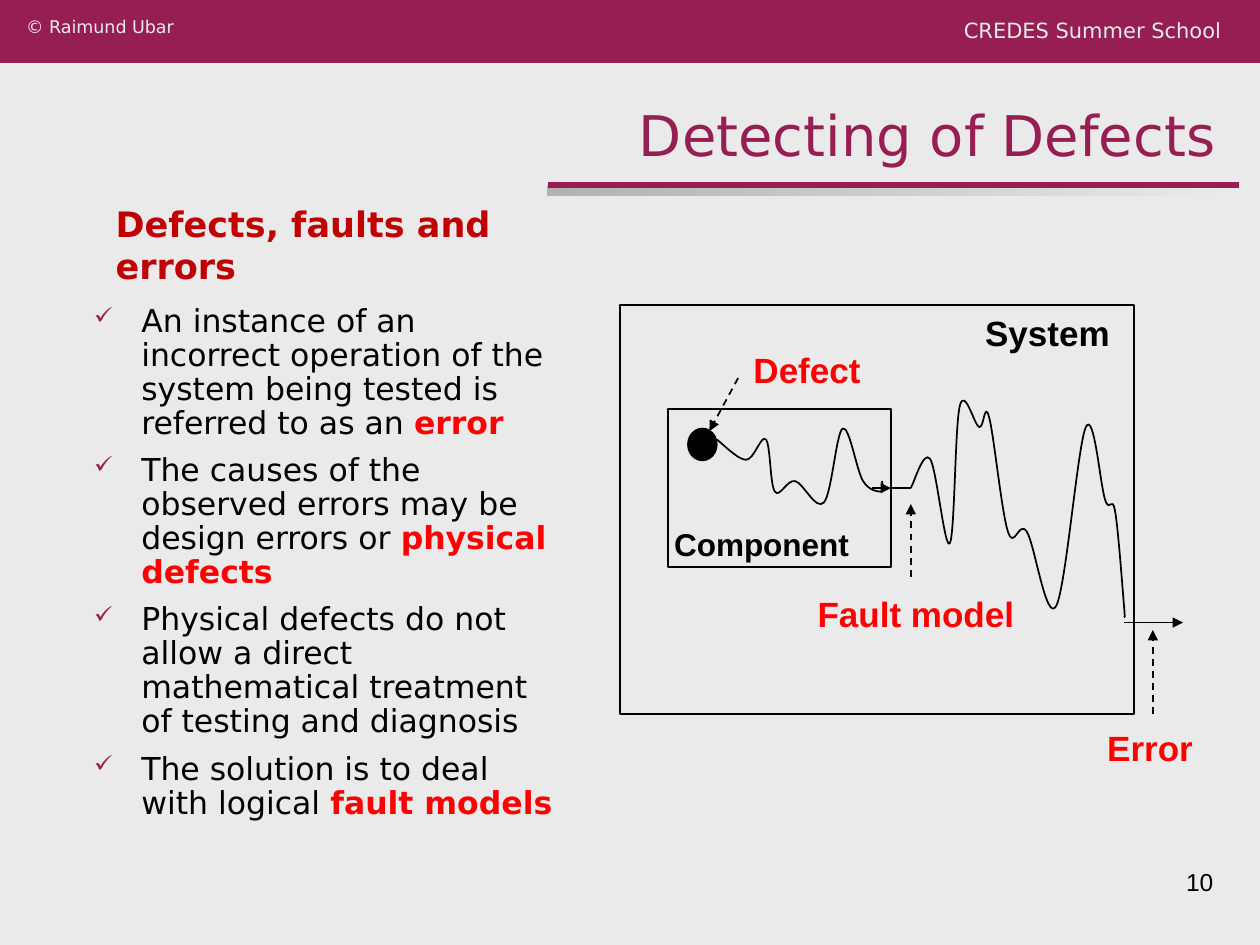
import pptx
import pptx.dml.color
import pptx.enum.dml
import pptx.enum.shapes
import pptx.enum.text
import pptx.oxml
import pptx.oxml.ns
import pptx.util

Cm, Pt = pptx.util.Cm, pptx.util.Pt
RGB = pptx.dml.color.RGBColor
SHAPE = pptx.enum.shapes.MSO_SHAPE
ALIGN = pptx.enum.text.PP_ALIGN
ANCHOR = pptx.enum.text.MSO_ANCHOR
qn = pptx.oxml.ns.qn

PLUM = RGB(0x97, 0x1E, 0x53)
PAPER = RGB(0xEA, 0xEA, 0xEA)
GREY = RGB(0xB2, 0xB2, 0xB2)
BLACK = RGB(0, 0, 0)
RED = RGB(0xFF, 0, 0)
DARK_RED = RGB(0xC0, 0, 0)
SANS, ARIAL = "DejaVu Sans", "Arial"

BULLETS = [
    ("An instance of an incorrect operation of the system being tested is referred to as an ", "error"),
    ("The causes of the observed errors may be design errors or ", "physical defects"),
    ("Physical defects do not allow a direct mathematical treatment of testing and diagnosis", ""),
    ("The solution is to deal with logical ", "fault models"),
]
COMPONENT_WAVE = [
    (14.45, 8.86), (15.04, 9.27), (15.44, 8.86), (15.62, 9.91), (16.03, 9.7),
    (16.61, 10.13), (16.99, 8.64), (17.4, 9.7), (17.78, 9.91), (17.78, 9.7),
]
SYSTEM_WAVE = [
    (18.36, 9.84), (18.75, 9.25), (19.15, 10.95), (19.35, 8.18), (19.74, 8.61),
    (19.94, 8.41), (20.32, 10.72), (20.7, 10.72), (21.29, 12.22), (21.89, 8.61),
    (22.28, 10.08), (22.48, 10.31), (22.66, 12.22), (22.66, 12.42),
]


class Deck:
    def __init__(self, slide):
        self.s = slide
        self.s.background.fill.solid()
        self.s.background.fill.fore_color.rgb = PAPER

    def style(self, r, size, color, font=SANS, bold=False):
        r.font.size, r.font.name, r.font.bold = Pt(size), font, bold
        r.font.color.rgb = color

    def shape(self, kind, x, y, w, h, fill=None, line=None):
        sp = self.s.shapes.add_shape(kind, Cm(x), Cm(y), Cm(w), Cm(h))
        sp.shadow.inherit = False
        if fill is None:
            sp.fill.background()
        else:
            sp.fill.solid()
            sp.fill.fore_color.rgb = fill
        if line is None:
            sp.line.fill.background()
        else:
            sp.line.color.rgb, sp.line.width = line, Pt(1)
        return sp

    def fade(self, x, y, w, h, colors):
        sp = self.shape(SHAPE.RECTANGLE, x, y, w, h)
        sp.fill.gradient()
        sp.fill.gradient_angle = 0
        for stop, color in zip(sp.fill.gradient_stops, colors):
            stop.color.rgb = color

    def line(self, x1, y1, x2, y2, color=BLACK, width=1, arrow=True, dashed=False):
        cx = self.s.shapes.add_connector(
            pptx.enum.shapes.MSO_CONNECTOR.STRAIGHT, Cm(x1), Cm(y1), Cm(x2), Cm(y2))
        cx.line.color.rgb, cx.line.width = color, Pt(width)
        if dashed:
            cx.line.dash_style = pptx.enum.dml.MSO_LINE.DASH
        if arrow:
            ln = cx.line._get_or_add_ln()
            pptx.oxml.ns.qn("a:tailEnd")
            tail = ln.makeelement(qn("a:tailEnd"), {"type": "triangle"})
            ln.append(tail)
        sp_pr = cx._element.spPr
        sp_pr.append(sp_pr.makeelement(qn("a:effectLst"), {}))
        return cx

    def curve(self, knots):
        points = [(Cm(x), Cm(y)) for x, y in knots]
        builder = self.s.shapes.build_freeform(*points[0])
        builder.add_line_segments(points[1:], close=False)
        sp = builder.convert_to_shape()
        sp.shadow.inherit = False
        sp.fill.background()
        sp.line.color.rgb, sp.line.width = BLACK, Pt(1)
        local = [(x - sp.left, y - sp.top) for x, y in points]
        ends = [local[0]] + local + [local[-1]]
        for i, segment in enumerate(list(sp._element.iter(qn("a:lnTo")))):
            before, start, end, after = ends[i:i + 4]
            c1 = [b + (e - a) / 6 for a, b, e in zip(before, start, end)]
            c2 = [e - (a - b) / 6 for b, e, a in zip(start, end, after)]
            bezier = segment.makeelement(qn("a:cubicBezTo"), {})
            for x, y in (c1, c2, end):
                bezier.append(bezier.makeelement(
                    qn("a:pt"), {"x": str(round(x)), "y": str(round(y))}))
            segment.getparent().replace(segment, bezier)

    def text(self, text, x, y, w, h, size, color, font=ARIAL, bold=False, align=ALIGN.LEFT):
        tf = self.s.shapes.add_textbox(Cm(x), Cm(y), Cm(w), Cm(h)).text_frame
        tf.word_wrap = True
        tf.text = text
        p = tf.paragraphs[0]
        p.alignment = align
        self.style(p.runs[0], size, color, font, bold)

    def title(self, text, x, y, w, h):
        sp = self.s.shapes.title
        sp.left, sp.top, sp.width, sp.height = Cm(x), Cm(y), Cm(w), Cm(h)
        tf = sp.text_frame
        tf.text = text
        tf.vertical_anchor = ANCHOR.BOTTOM
        tf.paragraphs[0].alignment = ALIGN.RIGHT
        self.style(tf.paragraphs[0].runs[0], 32, PLUM)

    def bullets(self, items, x, y, w, h):
        tf = self.s.shapes.add_textbox(Cm(x), Cm(y), Cm(w), Cm(h)).text_frame
        tf.word_wrap = True
        tf.margin_left = tf.margin_top = tf.margin_right = tf.margin_bottom = 0
        for i, (plain, strong) in enumerate(items):
            p = tf.add_paragraph() if i else tf.paragraphs[0]
            p.text = plain
            p.line_spacing, p.space_after = 0.9, Pt(3)
            p.space_before = Pt(4.5 if i else 0)
            p_pr = p._p.get_or_add_pPr()
            p_pr.set("marL", str(Cm(0.95)))
            p_pr.set("indent", str(-Cm(0.95)))
            color = p_pr.makeelement(qn("a:buClr"), {})
            color.append(color.makeelement(qn("a:srgbClr"), {"val": str(PLUM)}))
            p_pr.append(color)
            p_pr.append(p_pr.makeelement(qn("a:buSzPct"), {"val": "75000"}))
            p_pr.append(p_pr.makeelement(qn("a:buChar"), {"char": "✓"}))
            self.style(p.runs[0], 18, BLACK)
            if strong:
                r = p.add_run()
                r.text = strong
                self.style(r, 18, RED, bold=True)


def main():
    prs = pptx.Presentation()
    prs.slide_width, prs.slide_height = Cm(25.4), Cm(19.05)
    d = Deck(prs.slides.add_slide(prs.slide_layouts[5]))

    d.shape(SHAPE.RECTANGLE, 0, 0, 25.4, 1.27, PLUM)
    d.fade(11.02, 3.73, 14, 0.23, (GREY, PAPER))
    d.line(11.05, 3.73, 24.97, 3.73, PLUM, 3, arrow=False)
    d.text("CREDES Summer School", 18.82, 0.23, 6.05, 0.81, 12, PAPER, SANS, align=ALIGN.RIGHT)
    d.text("© Raimund Ubar", 0.28, 0.2, 6.05, 0.81, 10, PAPER, SANS)
    d.title("Detecting of Defects", 0, 1.9, 24.77, 1.6)
    d.text("Defects, faults and errors", 2.08, 3.96, 9.17, 2.79, 20, DARK_RED, SANS, True)
    d.bullets(BULLETS, 1.9, 6.15, 9.42, 11.13)

    component = d.shape(SHAPE.RECTANGLE, 13.46, 8.25, 4.5, 3.18, PAPER, BLACK)
    d.shape(SHAPE.RECTANGLE, 12.5, 6.15, 10.36, 8.25, line=BLACK)
    d.shape(SHAPE.OVAL, 13.87, 8.64, 0.58, 0.64, BLACK, BLACK)
    d.curve(COMPONENT_WAVE)
    d.curve(SYSTEM_WAVE)

    d.line(17.58, 9.84, 17.96, 9.84).end_connect(component, 3)
    d.line(17.96, 9.84, 18.36, 9.84, arrow=False).begin_connect(component, 3)
    d.line(22.66, 12.55, 23.85, 12.55)
    for pointer in ((14.88, 7.62, 14.3, 8.69), (23.24, 14.4, 23.24, 12.7), (18.36, 11.63, 18.36, 10.16)):
        d.line(*pointer, dashed=True)

    d.text("System", 19.61, 6.15, 3.25, 1.12, 20, BLACK, bold=True)
    d.text("Component", 13.34, 10.46, 4.57, 1.02, 18, BLACK, bold=True)
    d.text("Defect", 14.94, 6.91, 3.02, 1.12, 20, RED, bold=True)
    d.text("Error", 22.07, 14.53, 2.54, 1.12, 20, RED, bold=True)
    d.text("Fault model", 16.18, 11.81, 4.57, 1.12, 20, RED, bold=True, align=ALIGN.CENTER)
    d.text("10", 18.21, 17.35, 6.5, 1.32, 14, BLACK, align=ALIGN.RIGHT)
    prs.save("out.pptx")


if __name__ == "__main__":
    main()
